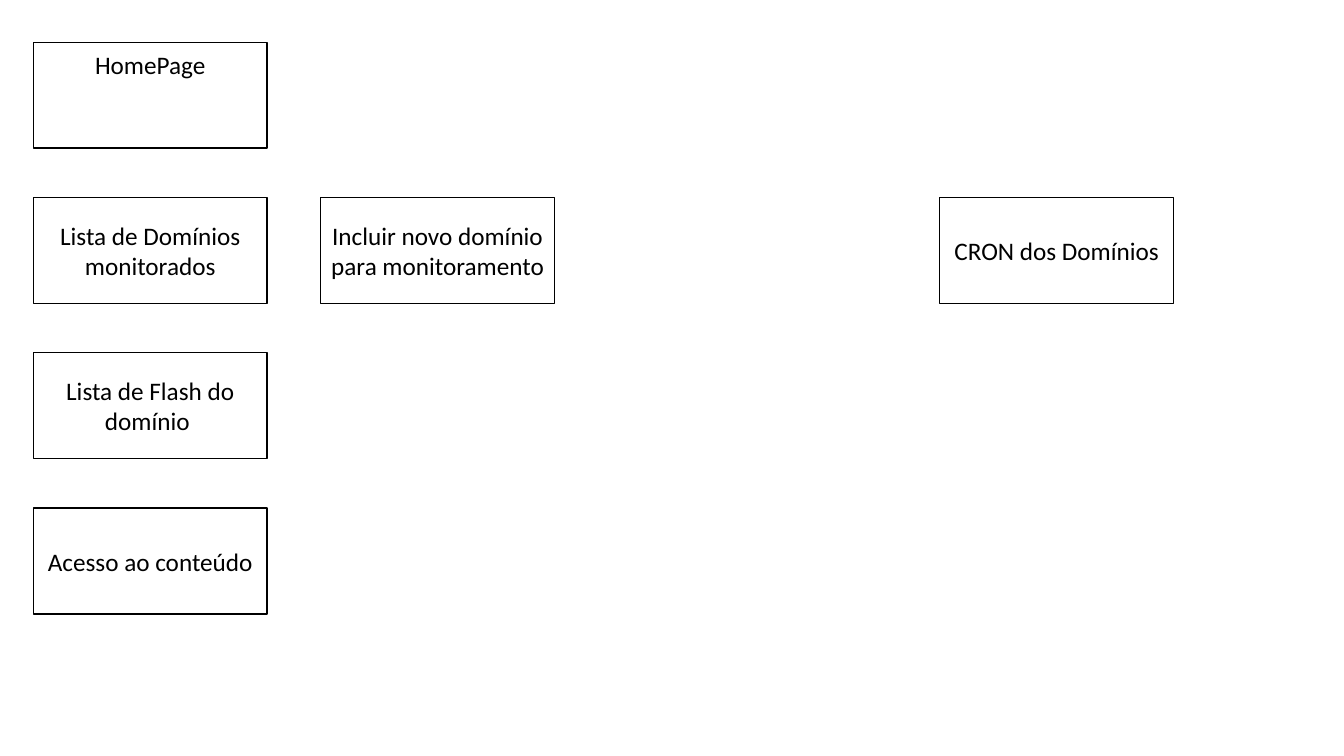
from dataclasses import dataclass

from pptx import Presentation
from pptx.dml.color import RGBColor
from pptx.enum.shapes import MSO_SHAPE
from pptx.enum.text import MSO_ANCHOR, PP_ALIGN
from pptx.util import Inches, Pt

COLORS = {"fill": "FFFFFF", "ink": "000000"}
FONT = "Calibri"
BOX_W, BOX_H = 2.32, 1.05
TOP, ROW_STEP = 0.42, 1.54
PAGES_X, FORM_X, CRON_X = 0.33, 3.18, 9.32


@dataclass
class Box:
    text: str
    left: float
    row: int
    anchor: MSO_ANCHOR = MSO_ANCHOR.MIDDLE


BOXES = [
    Box("Lista de Domínios monitorados", PAGES_X, 1),
    Box("Incluir novo domínio para monitoramento", FORM_X, 1),
    Box("Lista de Flash do domínio ", PAGES_X, 2),
    Box("Acesso ao conteúdo", PAGES_X, 3),
    Box("CRON dos Domínios", CRON_X, 1),
    Box("HomePage", PAGES_X, 0, MSO_ANCHOR.TOP),
]


def rgb(name: str) -> RGBColor:
    return RGBColor.from_string(COLORS[name])


def draw_box(s, box: Box) -> None:
    sp = s.shapes.add_shape(
        MSO_SHAPE.RECTANGLE,
        Inches(box.left), Inches(TOP + box.row * ROW_STEP),
        Inches(BOX_W), Inches(BOX_H),
    )
    sp.shadow.inherit = False
    sp.fill.solid()
    sp.fill.fore_color.rgb = rgb("fill")
    sp.line.color.rgb = rgb("ink")
    sp.line.width = Pt(1)

    tf = sp.text_frame
    tf.word_wrap = True
    tf.vertical_anchor = box.anchor
    if box.anchor == MSO_ANCHOR.TOP:
        tf.margin_top = Inches(0.07)
    p = tf.paragraphs[0]
    p.alignment = PP_ALIGN.CENTER
    r = p.add_run()
    r.text = box.text
    r.font.name = FONT
    r.font.size = Pt(18)
    r.font.color.rgb = rgb("ink")


def main() -> None:
    prs = Presentation()
    prs.slide_width, prs.slide_height = Inches(13.33), Inches(7.5)
    s = prs.slides.add_slide(prs.slide_layouts[6])
    for box in BOXES:
        draw_box(s, box)
    prs.save("out.pptx")


if __name__ == "__main__":
    main()
